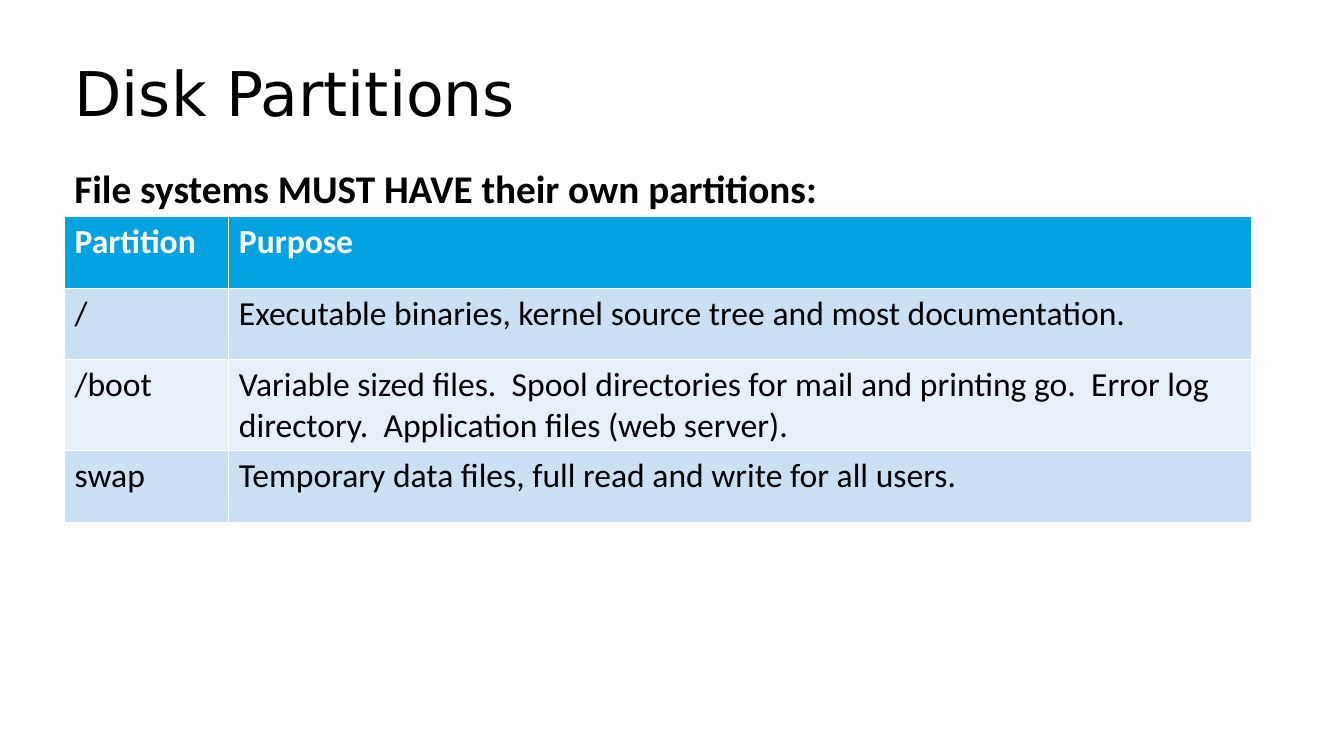
"""Build the Disk Partitions slide: a title, a lead-in line and a table of partitions."""
from pptx import Presentation
from pptx.dml.color import RGBColor
from pptx.enum import text
from pptx.util import Inches, Pt

BLACK = RGBColor(0x00, 0x00, 0x00)
WHITE = RGBColor(0xFF, 0xFF, 0xFF)
HEADER_BLUE = RGBColor(0x00, 0xA3, 0xE0)
BAND_DARK = RGBColor(0xCC, 0xE0, 0xF3)
BAND_LIGHT = RGBColor(0xE7, 0xF0, 0xF9)

LEFT = Inches(0.64)
ROW_HEIGHT = Inches(0.71)
COLUMN_WIDTHS = [Inches(1.63), Inches(10.14)]
PARTITIONS = [
    ("Partition", "Purpose"),
    ("/", "Executable binaries, kernel source tree and most documentation."),
    ("/boot", "Variable sized files.  Spool directories for mail and printing go.  "
              "Error log directory.  Application files (web server)."),
    ("swap", "Temporary data files, full read and write for all users."),
]


def write(frame, words, size, font="Calibri", color=BLACK, bold=False):
    """Add one formatted run to the first paragraph of a text frame."""
    run = frame.paragraphs[0].add_run()
    run.text = words
    run.font.size = Pt(size)
    run.font.name = font
    run.font.color.rgb = color
    run.font.bold = bold


prs = Presentation()
prs.slide_width = Inches(13.33)
prs.slide_height = Inches(7.5)
slide = prs.slides.add_slide(prs.slide_layouts[6])

title = slide.shapes.add_textbox(LEFT, Inches(0.33), Inches(6.59), Inches(1.25)).text_frame
title.word_wrap = True
title.vertical_anchor = text.MSO_ANCHOR.MIDDLE
title.paragraphs[0].line_spacing = 0.9
write(title, "Disk Partitions", 44, font="DejaVu Sans")

partitions = slide.shapes.add_table(
    len(PARTITIONS), len(COLUMN_WIDTHS), LEFT, Inches(2.15),
    sum(COLUMN_WIDTHS), ROW_HEIGHT * len(PARTITIONS)).table
for column, width in zip(partitions.columns, COLUMN_WIDTHS):
    column.width = width
for r, entry in enumerate(PARTITIONS):
    is_header = r == 0
    band = HEADER_BLUE if is_header else BAND_DARK if r % 2 else BAND_LIGHT
    for c, words in enumerate(entry):
        cell = partitions.cell(r, c)
        cell.fill.solid()
        cell.fill.fore_color.rgb = band
        write(cell.text_frame, words, 24, color=WHITE if is_header else BLACK, bold=is_header)

lead_in = slide.shapes.add_textbox(LEFT, Inches(1.58), Inches(7.84), Inches(0.57)).text_frame
lead_in.word_wrap = False
lead_in.auto_size = text.MSO_AUTO_SIZE.SHAPE_TO_FIT_TEXT
write(lead_in, "File systems MUST HAVE their own partitions:", 28, bold=True)

prs.save("out.pptx")
